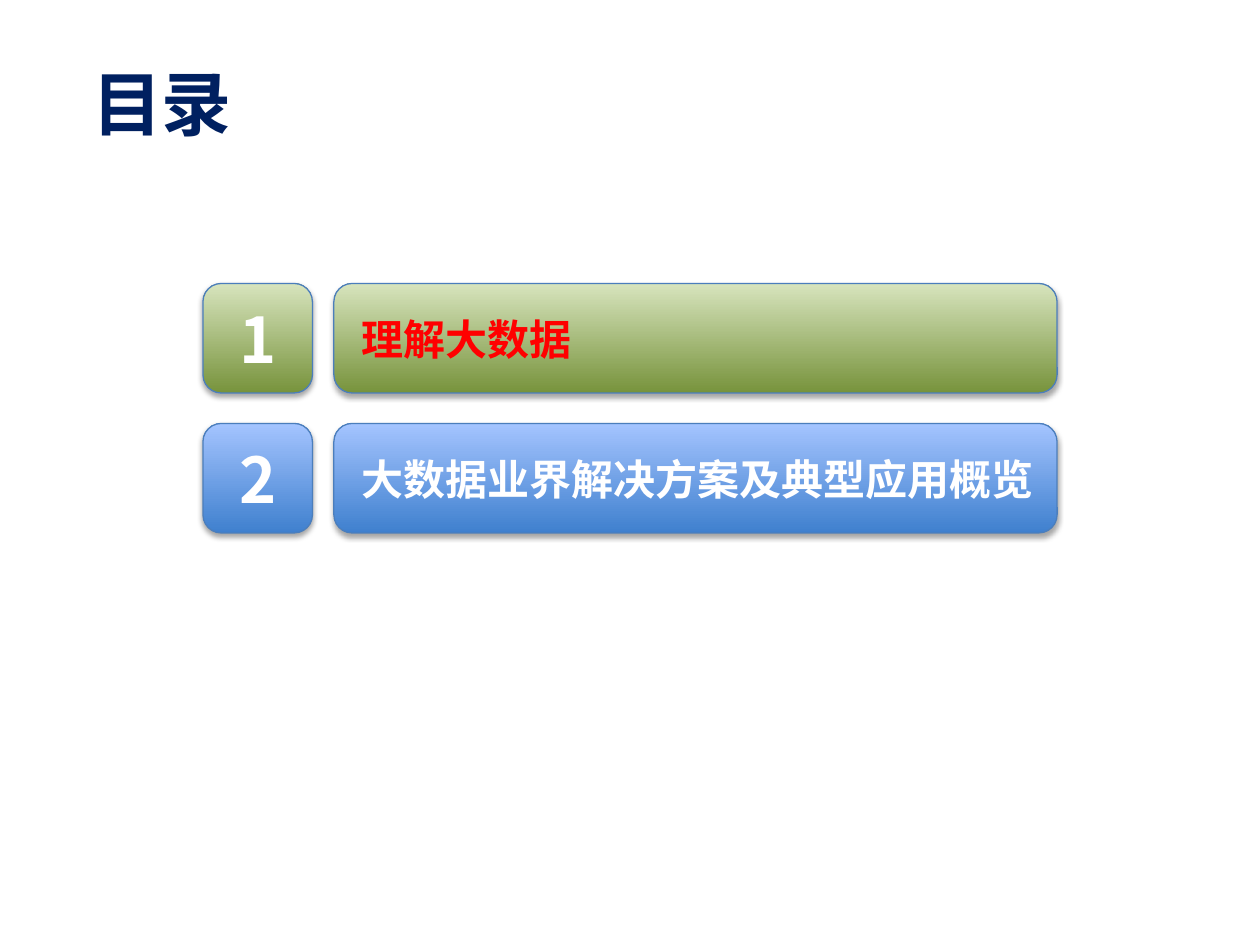
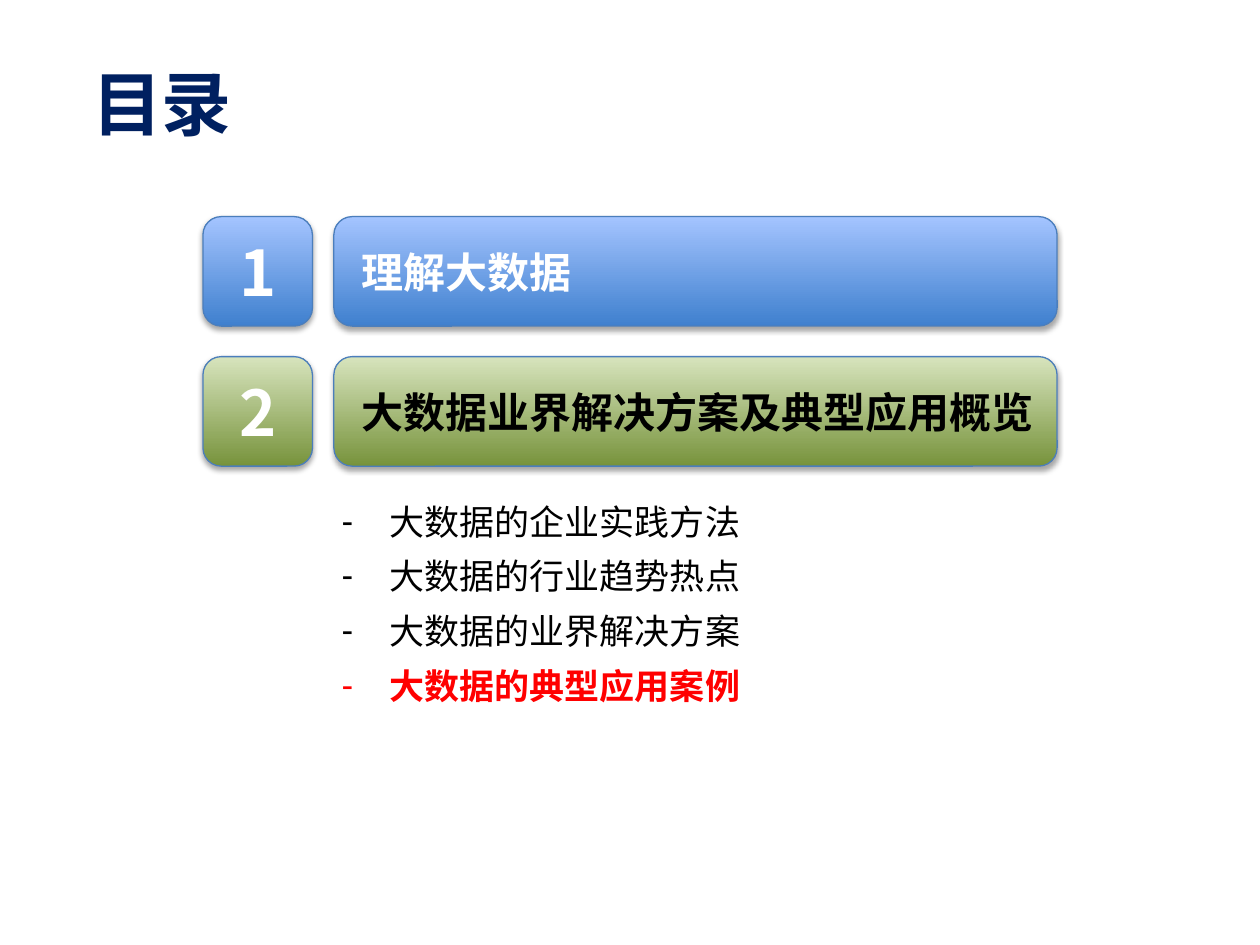
from lxml import etree
from pptx import Presentation
from pptx.dml.color import RGBColor
from pptx.enum.shapes import MSO_SHAPE
from pptx.enum.text import MSO_ANCHOR, MSO_AUTO_SIZE, PP_ALIGN
from pptx.oxml import parse_xml
from pptx.oxml.ns import nsdecls, qn
from pptx.util import Pt

ROUND = MSO_SHAPE.ROUNDED_RECTANGLE
MIDDLE, TOP = MSO_ANCHOR.MIDDLE, MSO_ANCHOR.TOP
LEFT, CENTER = PP_ALIGN.LEFT, PP_ALIGN.CENTER
GROW, FIXED = MSO_AUTO_SIZE.SHAPE_TO_FIT_TEXT, MSO_AUTO_SIZE.NONE

NAVY = RGBColor(0x00, 0x20, 0x60)
WHITE = RGBColor(0xFF, 0xFF, 0xFF)
BLACK = RGBColor(0x00, 0x00, 0x00)
RED = RGBColor(0xFF, 0x00, 0x00)
EDGE = RGBColor(0x4B, 0x7E, 0xBC)
GREEN = (RGBColor(0x77, 0x93, 0x3C), RGBColor(0xD7, 0xE4, 0xBD))
BLUE = (RGBColor(0x3F, 0x80, 0xCE), RGBColor(0xA4, 0xC4, 0xFF))

FACE = "Noto Sans CJK SC"
TITLE_ONLY, TITLE_BODY = 5, 1
SIDE, PITCH = 62.6, 80
NUM_X, BAR_X, BAR_W = 116, 190.8, 413.3
INDENT = 27.4
SHADOW = (
    f'<a:outerShdw {nsdecls("a")} blurRad="{Pt(3.1)}" dist="{Pt(1.8)}" '
    'dir="5400000" rotWithShape="0"><a:srgbClr val="000000">'
    '<a:alpha val="35000"/></a:srgbClr></a:outerShdw>'
)

TOPICS = ("理解大数据", "大数据业界解决方案及典型应用概览")
POINTS = (
    "大数据的企业实践方法",
    "大数据的行业趋势热点",
    "大数据的业界解决方案",
    "大数据的典型应用案例",
)


def assign(target, **values):
    for name, value in values.items():
        setattr(target, name, value)


class Deck:
    def __init__(self):
        self.prs = Presentation()
        assign(self.prs, slide_width=Pt(720), slide_height=Pt(540))
        self.slide = None

    def place(self, shape, left, top, width, height):
        assign(shape, left=Pt(left), top=Pt(top),
               width=Pt(width), height=Pt(height))

    def label(self, para, text, size, color, bold=True, align=LEFT):
        para.alignment = align
        run = para.add_run()
        run.text = text
        assign(run.font, size=Pt(size), bold=bold, name=FACE)
        run.font.color.rgb = color
        east = etree.SubElement(run.font._element, qn("a:ea"))
        east.set("typeface", FACE)

    def page(self, layout, title):
        self.slide = self.prs.slides.add_slide(self.prs.slide_layouts[layout])
        shape = self.slide.shapes.title
        self.place(shape, 45.4, 13.7, 648, 90)
        assign(shape.text_frame, vertical_anchor=MIDDLE, auto_size=FIXED)
        self.label(shape.text_frame.paragraphs[0], title, 40, NAVY)

    def tile(self, left, top, width, shades, text, size, color,
             align=LEFT, inset=7.2):
        shape = self.slide.shapes.add_shape(
            ROUND, Pt(left), Pt(top), Pt(width), Pt(SIDE))
        shape.fill.gradient()
        shape.fill.gradient_angle = 90
        for stop, shade in zip(shape.fill.gradient_stops, shades):
            stop.color.rgb = shade
        shape.line.color.rgb = EDGE
        shape.line.width = Pt(0.75)
        shape.shadow.inherit = False
        effects = shape._element.spPr.find(qn("a:effectLst"))
        effects.append(parse_xml(SHADOW))
        assign(shape.text_frame, word_wrap=True, vertical_anchor=MIDDLE,
               margin_left=Pt(inset))
        self.label(shape.text_frame.paragraphs[0], text, size, color,
                   align=align)

    def agenda(self, top, active, accent):
        """Stack the numbered topics, with the active one in green."""
        for i, topic in enumerate(TOPICS):
            shades, color = (GREEN, accent) if i == active else (BLUE, WHITE)
            y = top + i * PITCH
            self.tile(NUM_X, y, SIDE, shades, str(i + 1), 36, WHITE, CENTER)
            self.tile(BAR_X, y, BAR_W, shades, topic, 24, color, inset=12.5)

    def points(self, items, active):
        """Fill the body with dashed items, with the active one in red."""
        body = self.slide.placeholders[1]
        self.place(body, 188, 275, 316.8, 133.2)
        frame = body.text_frame
        assign(frame, vertical_anchor=TOP, auto_size=GROW, word_wrap=True)
        for i, item in enumerate(items):
            para = frame.add_paragraph() if i else frame.paragraphs[0]
            assign(para, line_spacing=1.3, space_before=Pt(0))
            props = para._p.get_or_add_pPr()
            props.set("marL", str(Pt(INDENT)))
            props.set("indent", str(-Pt(INDENT)))
            etree.SubElement(props, qn("a:buChar")).set("char", "-")
            on = i == active
            self.label(para, item, 20, RED if on else BLACK, bold=on)


def main():
    deck = Deck()
    deck.page(TITLE_ONLY, "目录")
    deck.agenda(162, 0, RED)
    deck.page(TITLE_BODY, "目录")
    deck.agenda(123.8, 1, BLACK)
    deck.points(POINTS, 3)
    deck.prs.save("out.pptx")


if __name__ == "__main__":
    main()
